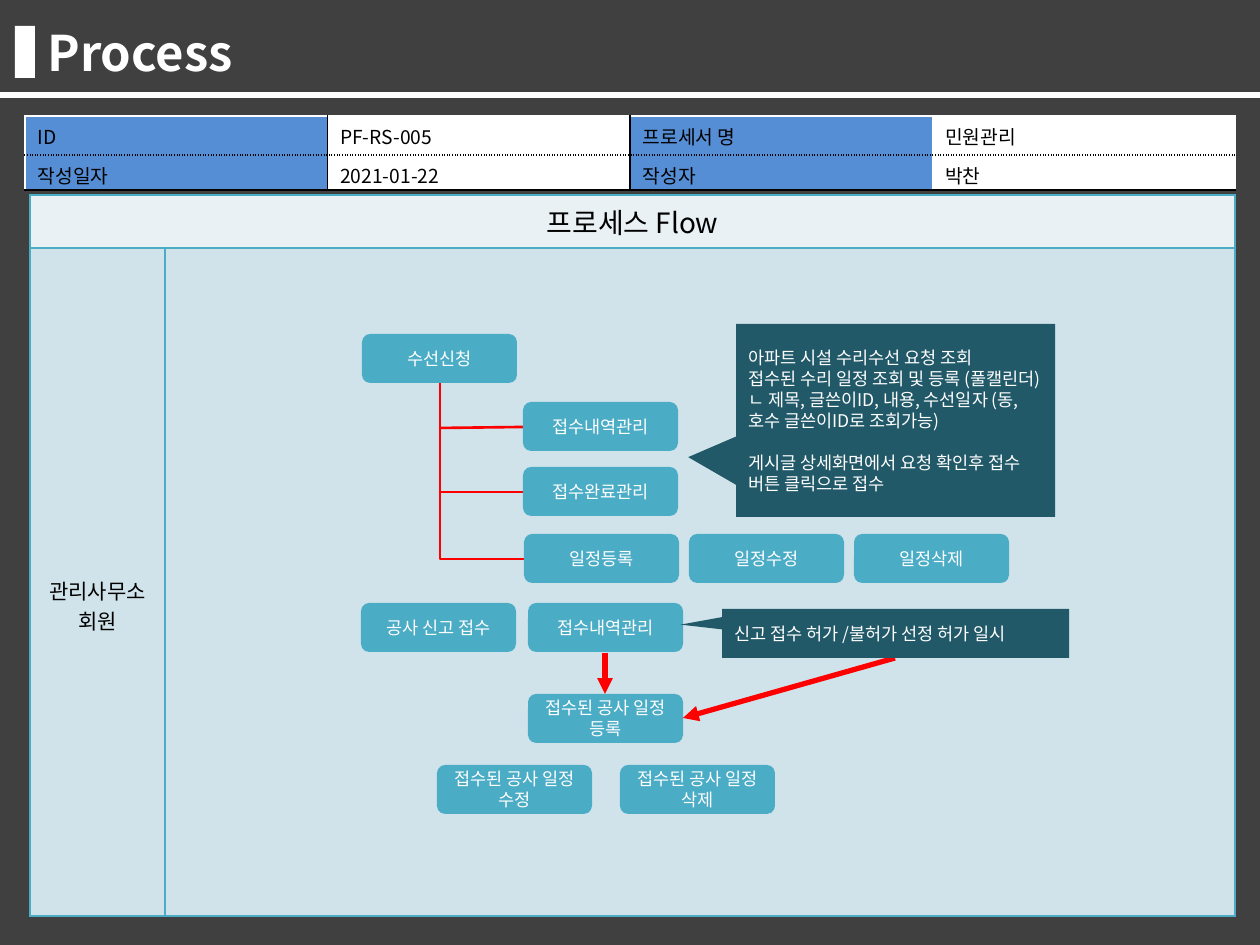
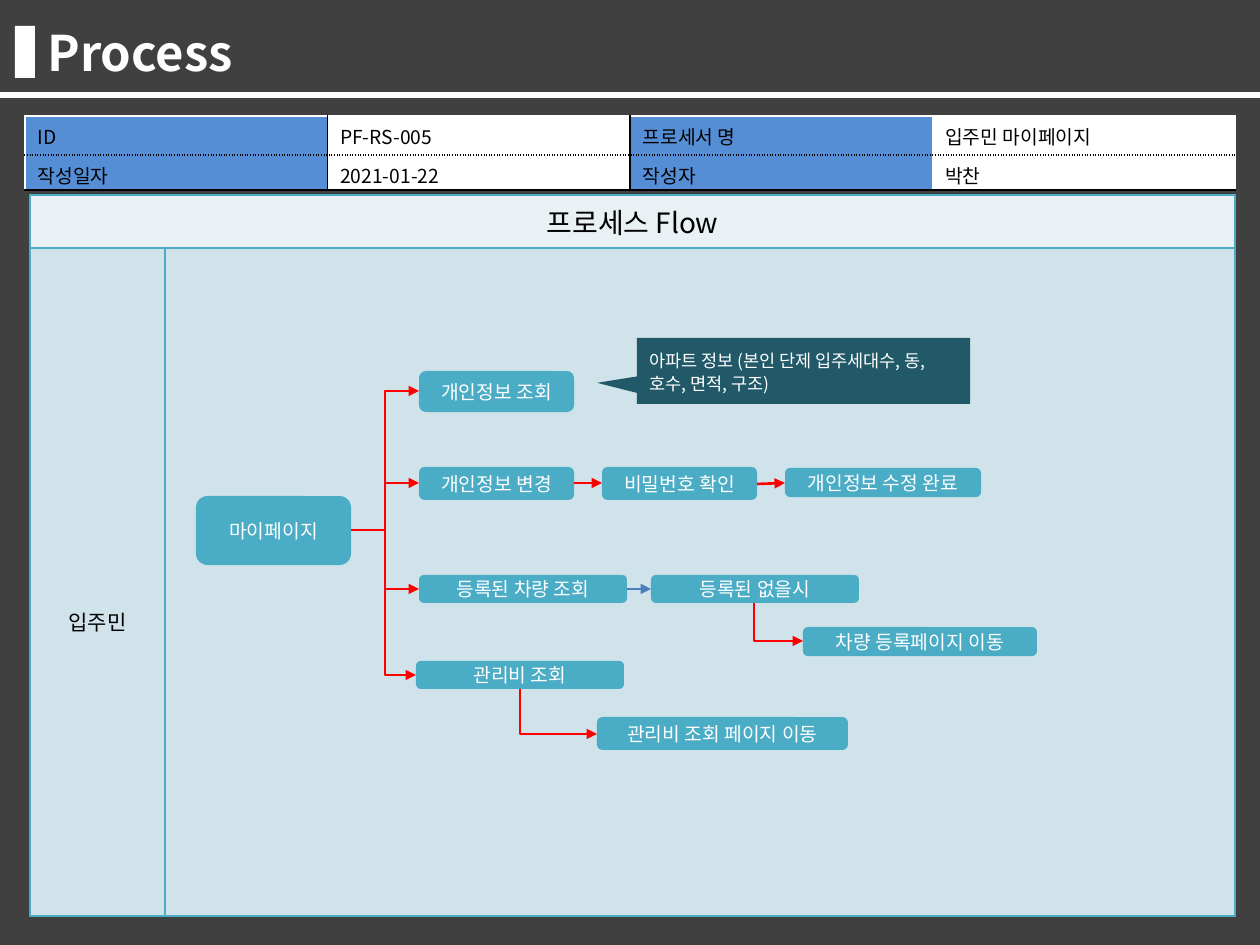
from lxml import etree
from pptx import Presentation
from pptx import util as u
from pptx.dml.color import RGBColor
from pptx.enum import shapes, text
from pptx.oxml import ns

SCALE = 914400 / 126
FONT = "Noto Sans CJK KR"
WHITE, BLACK, DARK = "FFFFFF", "000000", "404040"
TEAL, NAVY, RED, BLUE = "4BACC6", "215968", "FF0000", "4B7EBC"
LABEL, HEAD, BODY = "558ED5", "E9F1F5", "D0E3EA"


def px(*nums):
    return [u.Emu(round(n * SCALE)) for n in nums]


def paint(fill, color):
    fill.solid()
    fill.fore_color.rgb = RGBColor.from_string(color)


def sub(parent, tag, **attrs):
    return etree.SubElement(parent, ns.qn(tag), attrs)


def write(frame, lines, size, color, align=None, bold=None):
    frame.word_wrap = True
    frame.text = lines
    for para in frame.paragraphs:
        para.alignment = align
        font = para.font
        font.name, font.size, font.bold = FONT, u.Pt(size), bold
        paint(font.fill, color)
        sub(font._element, "a:ea", typeface=FONT)


def shape(slide, kind, box, color):
    item = slide.shapes.add_shape(kind, *px(*box))
    item.shadow.inherit = False
    paint(item.fill, color)
    item.line.fill.background()
    return item


def node(slide, label, box, size):
    item = shape(slide, shapes.MSO_SHAPE.ROUNDED_RECTANGLE, box, TEAL)
    item.text_frame.vertical_anchor = text.MSO_ANCHOR.MIDDLE
    write(item.text_frame, label, size, WHITE, text.PP_ALIGN.CENTER)
    for para in item.text_frame.paragraphs:
        para.line_spacing = u.Pt(size * 1.2)


def note(slide, lines, box, tip, pitch=12):
    item = shape(slide, shapes.MSO_SHAPE.RECTANGULAR_CALLOUT, box, NAVY)
    item.adjustments[0], item.adjustments[1] = tip
    frame = item.text_frame
    frame.vertical_anchor = text.MSO_ANCHOR.MIDDLE
    write(frame, lines, 10, WHITE, text.PP_ALIGN.LEFT)
    for para in frame.paragraphs:
        para.line_spacing = u.Pt(pitch)
    return frame


def link(slide, start, end, width=1.5, color=RED, arrow=True, bend=None):
    kind = shapes.MSO_CONNECTOR.STRAIGHT if bend is None else shapes.MSO_CONNECTOR.ELBOW
    line = slide.shapes.add_connector(kind, *px(*start, *end))
    line.line.width = u.Pt(width)
    paint(line.line.fill, color)
    props = line._element.spPr
    if bend is not None:
        guides = props.find(ns.qn("a:prstGeom")).get_or_add_avLst()
        sub(guides, "a:gd", name="adj1", fmla=f"val {round(bend * 100000)}")
    if arrow:
        sub(line.line._get_or_add_ln(), "a:tailEnd", type="triangle")
    sub(props, "a:effectLst")


def table(slide, box, cols, rows):
    grid = slide.shapes.add_table(len(rows), len(cols), *px(*box)).table
    grid.first_row = grid.horz_banding = False
    for part, size in zip(grid.columns, px(*cols)):
        part.width = size
    for part, size in zip(grid.rows, px(*rows)):
        part.height = size
    return grid


def style(cell, color, edges):
    props = cell._tc.get_or_add_tcPr()
    for side, (tint, dash) in zip("LRTB", edges):
        line = sub(props, f"a:ln{side}", w=str(u.Pt(1)))
        sub(sub(line, "a:solidFill"), "a:srgbClr", val=tint)
        sub(line, "a:prstDash", val=dash)
    paint(cell.fill, color)


def info(slide, name):
    grid = table(slide, (25, 116, 1210, 74), [302.5] * 4, (39, 35))
    rows = (("ID", "PF-RS-005", "프로세서 명", name),
            ("작성일자", "2021-01-22", "작성자", "박찬"))
    white, black = (WHITE, "solid"), (BLACK, "solid")
    across = (white, (BLACK, "sysDot"), black)
    down = (white, black, black, white, white)
    for r, row in enumerate(rows):
        for c, words in enumerate(row):
            cell = grid.cell(r, c)
            edges = (*down[c:c + 2], *across[r:r + 2])
            style(cell, WHITE if c % 2 else LABEL, edges)
            cell.margin_bottom = 0
            write(cell.text_frame, words, 11, BLACK)


def flow(slide, actor, drop):
    grid = table(slide, (30, 195, 1205, 721), (135, 1070), (53, 668))
    for r, color in enumerate((HEAD, BODY)):
        for c in range(2):
            style(grid.cell(r, c), color, [(TEAL, "solid")] * 4)
    head, lane = grid.cell(0, 0), grid.cell(1, 0)
    head.merge(grid.cell(0, 1))
    lane.margin_top, = px(drop)
    write(head.text_frame, "프로세스 Flow", 16, BLACK, text.PP_ALIGN.CENTER)
    write(lane.text_frame, actor, 12, BLACK, text.PP_ALIGN.CENTER)


def page(deck, name, actor, drop):
    slide = deck.slides.add_slide(deck.slide_layouts[5])
    paint(slide.background.fill, DARK)
    title = slide.shapes.title
    title.left, title.top, title.width, title.height = px(35, 16, 1131, 72)
    title.text_frame.vertical_anchor = text.MSO_ANCHOR.MIDDLE
    write(title.text_frame, "Process", 28, WHITE, text.PP_ALIGN.LEFT, True)
    for box in ((15, 26, 20, 52), (0, 92, 1260, 6)):
        shape(slide, shapes.MSO_SHAPE.RECTANGLE, box, WHITE)
    flow(slide, actor, drop)
    info(slide, name)
    return slide


def repair(deck):
    slide = page(deck, "민원관리", "관리사무소 회원", 327)
    frame = note(slide, "아파트 시설 수리수선 요청 조회\n"
                 "접수된 수리 일정 조회 및 등록 (풀캘린더)\n"
                 "ㄴ 제목, 글쓴이ID, 내용, 수선일자 (동, 호수 글쓴이ID로 조회가능)\n"
                 "게시글 상세화면에서 요청 확인후 접수 버튼 클릭으로 접수",
                 (736, 324, 319, 193), (-0.65, 0.19))
    frame.paragraphs[-1].space_before = u.Pt(12)
    link(slide, (895, 658), (683, 718), 3)
    link(slide, (440, 383), (524, 559), arrow=False, bend=0)
    link(slide, (523, 427), (440, 428), arrow=False)
    link(slide, (523, 492), (439, 492), arrow=False)
    for label, x, y in (
            ("수선신청", 362, 334), ("접수내역관리", 523, 402),
            ("접수완료관리", 523, 467), ("일정등록", 524, 534),
            ("일정수정", 689, 534), ("일정삭제", 854, 534),
            ("공사 신고 접수", 361, 603), ("접수내역관리", 528, 603),
            ("접수된 공사 일정 등록", 528, 694),
            ("접수된 공사 일정 수정", 437, 765),
            ("접수된 공사 일정 삭제", 620, 765)):
        node(slide, label, (x, y, 155, 49), 10)
    note(slide, "신고 접수 허가 /불허가 선정 허가 일시",
         (722, 609, 347, 49), (-0.62, -0.18))
    link(slide, (605, 653), (605, 694), 3)


def account(deck):
    slide = page(deck, "입주민 마이페이지", "입주민", 358)
    note(slide, "아파트 정보 (본인 단제 입주세대수, 동, 호수, 면적, 구조)",
         (637, 338, 333, 66), (-0.62, 0.18), 13)
    for label, *box in (
            ("마이페이지", 196, 496, 155, 69),
            ("개인정보 조회", 419, 371, 155, 41),
            ("개인정보 변경", 419, 467, 155, 33),
            ("비밀번호 확인", 602, 467, 155, 33),
            ("개인정보 수정 완료", 785, 468, 196, 29),
            ("등록된 차량 조회", 419, 575, 208, 28),
            ("등록된 없을시", 651, 575, 208, 28),
            ("차량 등록페이지 이동", 803, 627, 234, 29),
            ("관리비 조회", 416, 661, 208, 28),
            ("관리비 조회 페이지 이동", 597, 717, 251, 33)):
        node(slide, label, box, 11)
    trunk = 385
    for x, y in ((419, 483), (419, 589), (416, 675)):
        link(slide, (351, 530), (x, y), bend=(trunk - 351) / (x - 351))
    for start, end in (((trunk, 527), (419, 391)), ((754, 603), (803, 641)),
                       ((520, 689), (597, 734))):
        link(slide, start, end, bend=0)
    link(slide, (574, 483), (602, 483))
    link(slide, (757, 484), (785, 483))
    link(slide, (627, 589), (651, 589), 0.75, BLUE)


def main():
    deck = Presentation()
    deck.slide_width, deck.slide_height = px(1260, 945)
    repair(deck)
    account(deck)
    deck.save("out.pptx")


if __name__ == "__main__":
    main()
